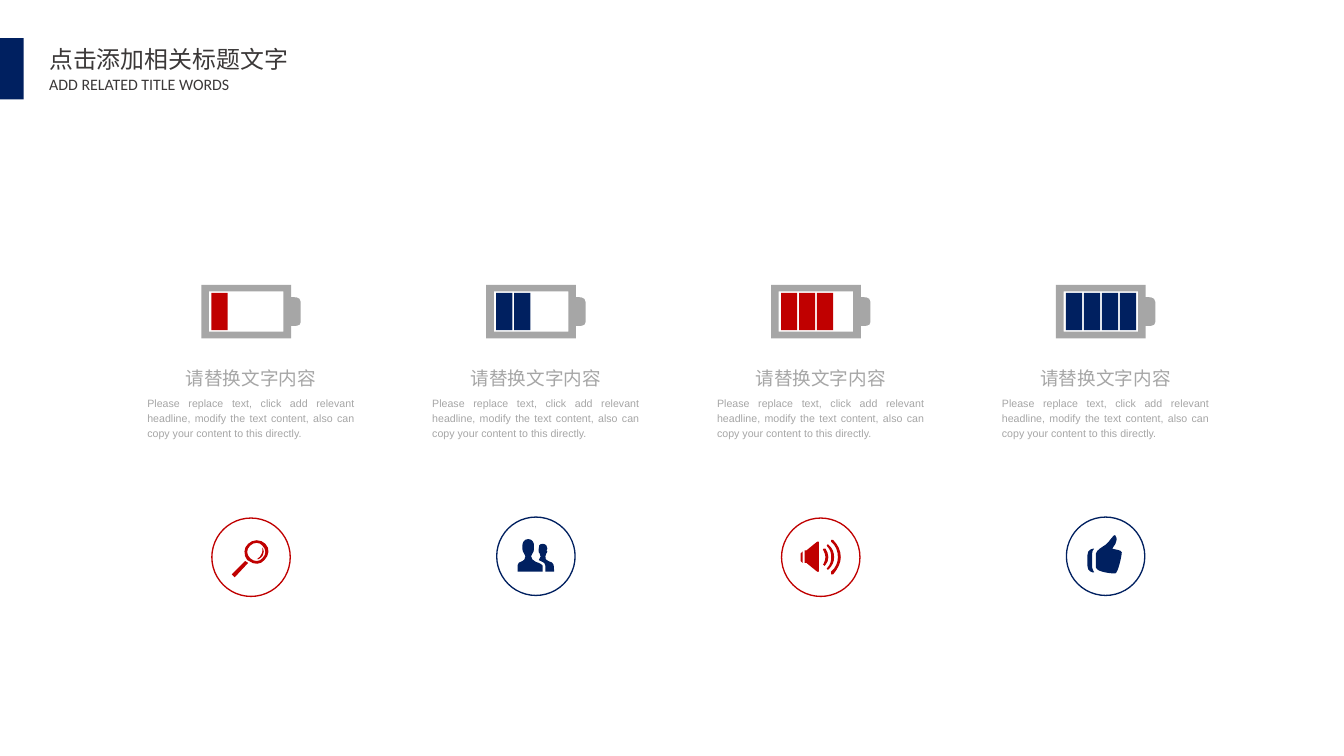
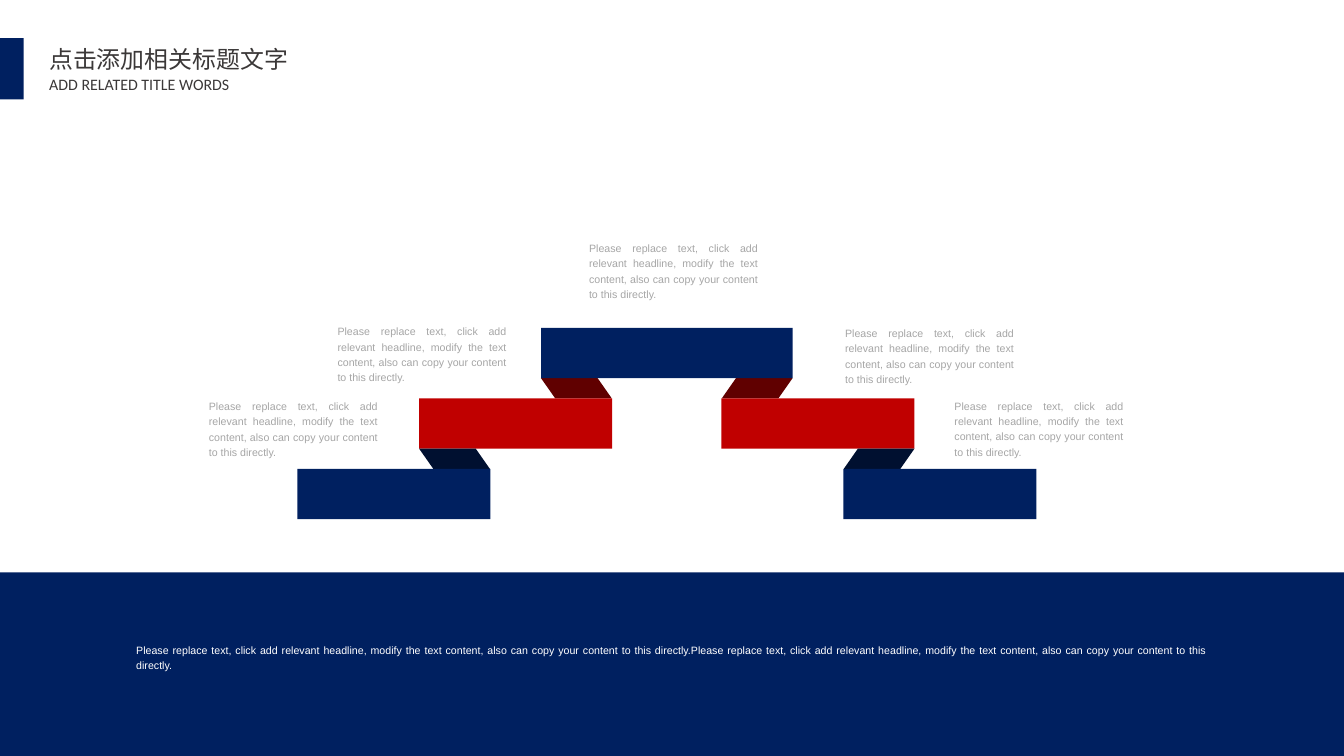
import pptx
import pptx.util
import pptx.dml.color
import pptx.enum.shapes
import pptx.enum.text
import pptx.oxml.ns
import lxml.etree

NAVY = pptx.dml.color.RGBColor(0x00, 0x20, 0x60)
DARK_NAVY = pptx.dml.color.RGBColor(0x00, 0x10, 0x30)
RED = pptx.dml.color.RGBColor(0xC0, 0x00, 0x00)
DARK_RED = pptx.dml.color.RGBColor(0x60, 0x00, 0x00)
GRAY = pptx.dml.color.RGBColor(0xA6, 0xA6, 0xA6)
CHARCOAL = pptx.dml.color.RGBColor(0x3B, 0x38, 0x38)
WHITE = pptx.dml.color.RGBColor(0xFF, 0xFF, 0xFF)

SHAPES = pptx.enum.shapes.MSO_SHAPE
ALIGN = pptx.enum.text.PP_ALIGN
ANCHOR = pptx.enum.text.MSO_ANCHOR
CJK_FONT = "Noto Sans CJK SC"

GRID_CELL = pptx.util.Inches(0.1)
COLUMNS, ROWS = 140.6, 79.1

HEADING = "请替换文字内容"
BODY = ("Please replace text, click add relevant headline, modify the text "
        "content, also can copy your content to this directly.")

BATTERY_CASE = [
    [(94, 13), (94, 0), (0, 0), (0, 56), (94, 56), (94, 43),
     (97, 43, 104, 44, 104, 39), (104, 18), (104, 12, 96, 13, 94, 13)],
    [(86, 49), (8, 49), (8, 7), (86, 7)],
]
MAGNIFIER = [
    [[(56, 27), (51, 22, 43, 22, 38, 27), (33, 31, 33, 39, 37, 44), (39, 45),
      (44, 49, 51, 49, 55, 44), (60, 39, 61, 32, 56, 27)],
     [(53, 42), (50, 46, 44, 46, 40, 42), (36, 38, 36, 33, 40, 29),
      (44, 25, 50, 25, 53, 29), (57, 33, 57, 38, 53, 42)]],
    [[(21, 59), (24, 62), (38, 47), (35, 45)]],
    [[(53, 31), (54, 40, 47, 43, 47, 43), (49, 43), (58, 38, 53, 31, 53, 31)]],
]
PEOPLE = [
    [[(60, 57), (60, 57, 60, 49, 59, 49), (59, 48, 57, 47, 54, 46),
      (51, 45, 51, 44, 51, 41), (51, 40, 51, 41, 52, 38),
      (52, 37, 53, 38, 53, 36), (53, 35, 52, 35, 52, 35),
      (52, 35, 53, 34, 53, 33), (53, 31, 52, 28, 48, 28),
      (44, 28, 44, 31, 44, 33), (44, 36), (44, 38, 44, 37, 45, 38),
      (45, 41, 46, 40, 46, 41), (46, 43, 45, 44, 44, 45),
      (50, 48, 51, 48, 51, 51), (51, 57)],
     [(41, 47), (38, 45, 36, 44, 36, 41), (36, 39, 37, 40, 38, 37),
      (38, 36, 39, 37, 39, 34), (39, 29), (39, 28, 38, 23, 33, 23),
      (28, 23, 27, 28, 27, 29), (27, 34), (27, 37, 28, 36, 28, 37),
      (29, 40, 30, 39, 30, 41), (30, 44, 29, 45, 25, 47),
      (24, 47, 22, 48, 22, 50), (22, 57), (48, 57), (48, 51),
      (48, 50, 45, 48, 41, 47)]],
]
SPEAKER = [
    [[(37, 25), (26, 34), (24, 34), (24, 47), (26, 47), (37, 56),
      (37, 56, 39, 57, 39, 56), (39, 25), (39, 24, 37, 25, 37, 25)]],
    [[(20, 37), (20, 45), (20, 46, 21, 46, 22, 47), (22, 35),
      (21, 36, 20, 36, 20, 37)]],
    [[(46, 32), (44, 32), (43, 33, 43, 34, 44, 34), (45, 36, 46, 39, 46, 41),
      (46, 43, 45, 46, 44, 48), (43, 48, 43, 49, 44, 49), (45, 50), (46, 49),
      (48, 47, 49, 44, 49, 41), (49, 38, 48, 35, 46, 32)]],
    [[(49, 28), (49, 27, 48, 27, 48, 28), (47, 28, 47, 29, 48, 30),
      (51, 33, 52, 37, 52, 41), (52, 45, 51, 49, 48, 52),
      (47, 52, 47, 53, 48, 54), (49, 54), (53, 50, 55, 46, 55, 41),
      (55, 36, 53, 31, 49, 28)]],
    [[(54, 23), (52, 23), (52, 25), (57, 29, 59, 35, 59, 41),
      (59, 46, 57, 52, 52, 56), (52, 57, 52, 58, 52, 59), (54, 59),
      (59, 53, 62, 47, 62, 41), (62, 34, 59, 28, 54, 23)]],
]
THUMB = [
    [[(48, 33), (48, 32, 56, 25, 51, 19), (50, 17, 46, 25, 41, 29),
      (38, 31, 31, 35, 31, 38), (31, 53), (31, 56, 42, 59, 51, 59),
      (54, 59, 58, 40, 58, 37), (58, 34, 49, 34, 48, 33)],
     [(29, 33), (27, 33, 22, 34, 22, 40), (22, 51), (22, 57, 27, 58, 29, 58),
      (30, 58, 27, 56, 27, 53), (27, 38), (27, 34, 30, 33, 29, 33)]],
]


def grid(*lengths):
    return [round(length * GRID_CELL) for length in lengths]


def paint(shape, fill=None, line=None):
    shape.shadow.inherit = False
    if fill is None:
        shape.fill.background()
    else:
        shape.fill.solid()
        shape.fill.fore_color.rgb = fill
    if line is None:
        shape.line.fill.background()
    else:
        shape.line.color.rgb = line
        shape.line.width = pptx.util.Pt(1)


def add_block(shapes, place, kind=SHAPES.RECTANGLE, fill=None, line=None):
    shape = shapes.add_shape(kind, *grid(*place))
    paint(shape, fill, line)
    return shape


def add_fold(shapes, place, fill, flipped):
    shape = add_block(shapes, place, SHAPES.PARALLELOGRAM, fill)
    shape.adjustments[0] = 0.7
    if flipped:
        shape._element.spPr.get_or_add_xfrm().set("flipH", "1")


def bend_segments(shape, contours):
    segments = iter(list(shape._element.iter(pptx.oxml.ns.qn("a:lnTo"))))
    for contour in contours:
        for step in contour[1:]:
            lines = [next(segments) for _ in range(len(step) // 2)]
            if len(lines) == 1:
                continue
            curve = lxml.etree.Element(pptx.oxml.ns.qn("a:cubicBezTo"))
            lines[0].addprevious(curve)
            for line in lines:
                curve.append(line[0])
                line.getparent().remove(line)


def add_outline(shapes, left, top, contours, fill):
    builder = None
    for contour in contours:
        points = [grid(step[i] / 10, step[i + 1] / 10)
                  for step in contour for i in range(0, len(step), 2)]
        if builder is None:
            builder = shapes.build_freeform(*points[0], scale=1.0)
        else:
            builder.move_to(*points[0])
        builder.add_line_segments(points[1:], close=True)
    shape = builder.convert_to_shape(*grid(left, top))
    bend_segments(shape, contours)
    paint(shape, fill)


def add_text(page, place, text, size=8, color=GRAY, font="Arial",
             align=ALIGN.JUSTIFY, spacing=1.2, anchor=ANCHOR.TOP, wrap=True):
    box = page.shapes.add_textbox(*grid(*place))
    frame = box.text_frame
    frame.word_wrap = wrap
    if not wrap:
        frame.auto_size = pptx.enum.text.MSO_AUTO_SIZE.SHAPE_TO_FIT_TEXT
    frame.vertical_anchor = anchor
    frame.margin_left, frame.margin_right = grid(1.05, 1.05)
    frame.margin_top, frame.margin_bottom = grid(0.53, 0.53)
    para = frame.paragraphs[0]
    para.alignment = align
    para.line_spacing = spacing
    span = para.add_run()
    span.text = text
    span.font.size = pptx.util.Pt(size)
    span.font.name = font
    span.font.color.rgb = color
    east_asian = lxml.etree.SubElement(span.font._element, pptx.oxml.ns.qn("a:ea"))
    east_asian.set("typeface", CJK_FONT)


def add_page(deck):
    page = deck.slides.add_slide(deck.slide_layouts[6])
    add_block(page.shapes, (0, 4, 2.48, 6.4), fill=NAVY)
    title_format = dict(color=CHARCOAL, align=ALIGN.LEFT, spacing=1.0, wrap=False)
    add_text(page, (4.1, 4.1, 27.4, 4.1), "点击添加相关标题文字",
             size=18, font=CJK_FONT, **title_format)
    add_text(page, (4.1, 7.3, 25.7, 3.1), "ADD RELATED TITLE WORDS",
             size=12, font="Calibri", **title_format)
    return page


def add_battery(page, left, top, charge, color):
    battery = page.shapes.add_group_shape().shapes
    add_outline(battery, left, top, BATTERY_CASE, GRAY)
    for cell in range(charge):
        add_block(battery, (left + 1.05 + 1.88 * cell, top + 0.84, 1.7, 3.9), fill=color)


def add_badge(page, left, top, icon, color):
    badge = page.shapes.add_group_shape().shapes
    add_block(badge, (left, top, 8.2, 8.2), SHAPES.OVAL, line=color)
    for contours in icon:
        add_outline(badge, left, top, contours, color)


def build_battery_page(deck):
    page = add_page(deck)
    stages = [(MAGNIFIER, RED, 54.2), (PEOPLE, NAVY, 54.1),
              (SPEAKER, RED, 54.2), (THUMB, NAVY, 54.1)]
    for index, (icon, color, badge_top) in enumerate(stages):
        left = 14.36 + 29.8 * index
        add_battery(page, left + 6.7, 29.8, index + 1, color)
        add_text(page, (left, 37.4, 23.8, 3.9), HEADING, size=14, align=ALIGN.CENTER)
        add_text(page, (left, 40.7, 23.8, 8.7), BODY)
        add_badge(page, left + 7.8, badge_top, icon, color)


def build_stairs_page(deck):
    page = add_page(deck)
    stairs_left, stairs_top, top_width = 56.6, 34.3, 26.32
    tier_width, tier_height, fold_width, fold_height = 20.2, 5.26, 7.4, 2.12
    shift, rise = 12.75, tier_height + fold_height
    mirror = 2 * stairs_left + top_width

    for tier, (color, fold_color) in enumerate([(RED, DARK_RED), (NAVY, DARK_NAVY)], 1):
        fold_left = stairs_left - shift * (tier - 1)
        tier_left = stairs_left - shift * tier
        tier_top = stairs_top + rise * tier
        for on_left in (True, False):
            fold_x = fold_left if on_left else mirror - fold_left - fold_width
            tier_x = tier_left if on_left else mirror - tier_left - tier_width
            add_fold(page.shapes, (fold_x, tier_top - fold_height, fold_width, fold_height),
                     fold_color, on_left)
            add_block(page.shapes, (tier_x, tier_top, tier_width, tier_height), fill=color)
    add_block(page.shapes, (stairs_left, stairs_top, top_width, tier_height), fill=NAVY)

    for left, top in [(60.57, 25.5), (20.8, 42.03), (34.26, 34.2), (87.36, 34.4), (98.8, 42)]:
        add_text(page, (left, top, 19.8, 5.5), BODY, anchor=ANCHOR.MIDDLE)

    band_top = 59.88
    add_block(page.shapes, (0, band_top, COLUMNS, ROWS - band_top), fill=NAVY)
    add_text(page, (13.2, 66.6, 114.25, 5.9), BODY * 2, color=WHITE)


def main():
    deck = pptx.Presentation()
    deck.slide_width, deck.slide_height = grid(COLUMNS, ROWS)
    build_battery_page(deck)
    build_stairs_page(deck)
    deck.save("out.pptx")


if __name__ == "__main__":
    main()
